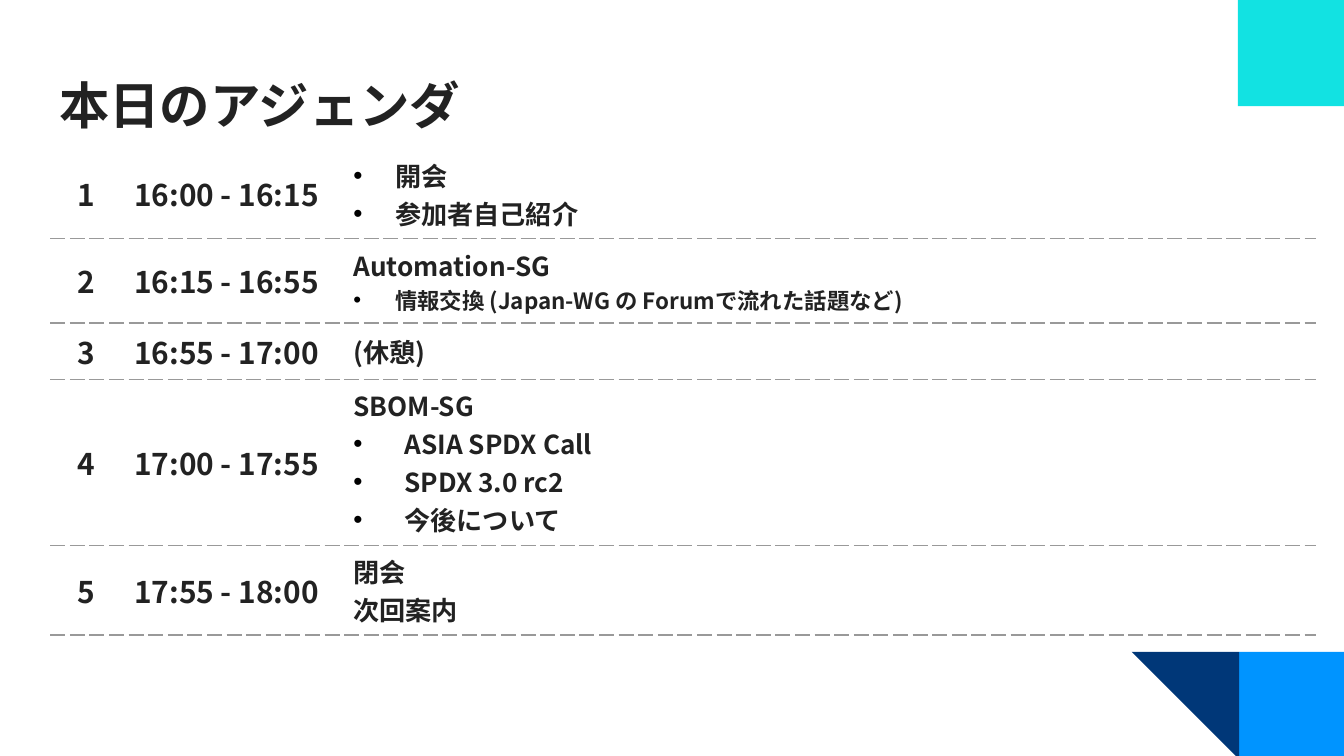
from lxml.etree import SubElement
from pptx import Presentation
from pptx.dml.color import RGBColor
from pptx.enum.shapes import MSO_SHAPE
from pptx.enum.text import MSO_ANCHOR, PP_ALIGN
from pptx.oxml import parse_xml
from pptx.oxml.ns import nsdecls, qn
from pptx.util import Inches, Pt

THEME = {
    "font": "Noto Sans CJK JP", "bullet_font": "Arial",
    "text": "222222", "bullet": "000000", "rule": "999999", "white": "FFFFFF",
    "blue": "0094FF", "navy": "003778", "cyan": "12E2E2",
    "title": 27, "time": 16, "topic": 14, "detail": 12,
}

TITLE = "本日のアジェンダ"
# time, topics as (text, size, hanging indent or 0)
AGENDA = [
    ("16:00 - 16:15", [("開会", "topic", 0.31),
                       ("参加者自己紹介", "topic", 0.31)]),
    ("16:15 - 16:55", [("Automation-SG", "topic", 0),
                       ("情報交換 (Japan-WG の Forumで流れた話題など)", "detail", 0.31)]),
    ("16:55 - 17:00", [("(休憩)", "topic", 0)]),
    ("17:00 - 17:55", [("SBOM-SG", "topic", 0),
                       ("ASIA SPDX Call", "topic", 0.38),
                       ("SPDX 3.0 rc2", "topic", 0.38),
                       ("今後について", "topic", 0.38)]),
    ("17:55 - 18:00", [("閉会", "topic", 0),
                       ("次回案内", "topic", 0)]),
]
COLUMNS = [0.52, 1.63, 7.26]
MIN_ROW_HEIGHT = 0.41  # rows grow with their text
TABLE_HEIGHT = 3.11
# shape, left, top, size, rotation, colour
CORNERS = [
    (MSO_SHAPE.RECTANGLE, 9.22, 4.85, 0.79, 0, "blue"),
    (MSO_SHAPE.RIGHT_TRIANGLE, 8.42, 4.85, 0.8, 180, "navy"),
    (MSO_SHAPE.RECTANGLE, 9.21, 0, 0.79, 0, "cyan"),
]


def add_text(p, text, size):
    r = p.add_run()
    r.text = text
    r.font.size = Pt(THEME[size])
    r.font.bold = True
    r.font.name = THEME["font"]
    r.font.color.rgb = RGBColor.from_string(THEME["text"])
    SubElement(r.font._element, qn("a:ea"), typeface=THEME["font"])


def add_bullet(p, indent):
    pPr = p._p.get_or_add_pPr()
    pPr.set("marL", str(Inches(indent)))
    pPr.set("indent", str(-Inches(indent)))
    color = SubElement(pPr, qn("a:buClr"))
    SubElement(color, qn("a:srgbClr"), val=THEME["bullet"])
    SubElement(pPr, qn("a:buFont"), typeface=THEME["bullet_font"])
    SubElement(pPr, qn("a:buChar"), char="•")


def border(side, ruled):
    color, width, dash = ("rule", 0.75, "lgDash") if ruled else ("white", 1, "solid")
    return parse_xml(
        f'<a:ln{side} {nsdecls("a")} w="{Pt(width)}"><a:solidFill>'
        f'<a:srgbClr val="{THEME[color]}"/></a:solidFill>'
        f'<a:prstDash val="{dash}"/></a:ln{side}>')


def fill_cell(cell, items, align, first_row):
    cell.fill.background()
    tcPr = cell._tc.get_or_add_tcPr()
    sides = [("L", False), ("R", False), ("T", not first_row), ("B", True)]
    for i, (side, ruled) in enumerate(sides):
        tcPr.insert(i, border(side, ruled))
    cell.vertical_anchor = MSO_ANCHOR.MIDDLE
    tf = cell.text_frame
    for i, (text, size, indent) in enumerate(items):
        p = tf.add_paragraph() if i else tf.paragraphs[0]
        p.alignment = align
        if indent:
            add_bullet(p, indent)
        add_text(p, text, size)


def main():
    prs = Presentation()
    prs.slide_width = Inches(10)
    prs.slide_height = prs.slide_width * 9 // 16
    s = prs.slides.add_slide(prs.slide_layouts[5])

    for shape, left, top, size, rotation, color in CORNERS:
        sp = s.shapes.add_shape(shape, Inches(left), Inches(top), Inches(size), Inches(size))
        sp.rotation = rotation
        sp.shadow.inherit = False
        sp.fill.solid()
        sp.fill.fore_color.rgb = RGBColor.from_string(THEME[color])
        sp.line.fill.background()

    frame = s.shapes.add_table(
        len(AGENDA), len(COLUMNS), Inches(0.38), Inches(1.11),
        Inches(sum(COLUMNS)), Inches(TABLE_HEIGHT))
    table = frame.table
    table.first_row = table.horz_banding = False
    for column, width in zip(table.columns, COLUMNS):
        column.width = Inches(width)
    for i, (time, topics) in enumerate(AGENDA):
        table.rows[i].height = Inches(MIN_ROW_HEIGHT)
        cells = [([(str(i + 1), "time", 0)], PP_ALIGN.CENTER),
                 ([(time, "time", 0)], PP_ALIGN.LEFT),
                 (topics, PP_ALIGN.LEFT)]
        for j, (items, align) in enumerate(cells):
            fill_cell(table.cell(i, j), items, align, i == 0)
    table.cell(0, 2).vertical_anchor = MSO_ANCHOR.TOP
    frame.height = Inches(TABLE_HEIGHT)

    title = s.shapes.title
    title.left, title.top = Inches(0.34), Inches(0.45)
    title.width, title.height = Inches(9.32), Inches(0.66)
    tf = title.text_frame
    tf.margin_left = tf.margin_right = tf.margin_top = tf.margin_bottom = Inches(0.1)
    tf.vertical_anchor = MSO_ANCHOR.MIDDLE
    p = tf.paragraphs[0]
    p.alignment = PP_ALIGN.LEFT
    add_text(p, TITLE, "title")

    prs.save("out.pptx")


if __name__ == "__main__":
    main()
